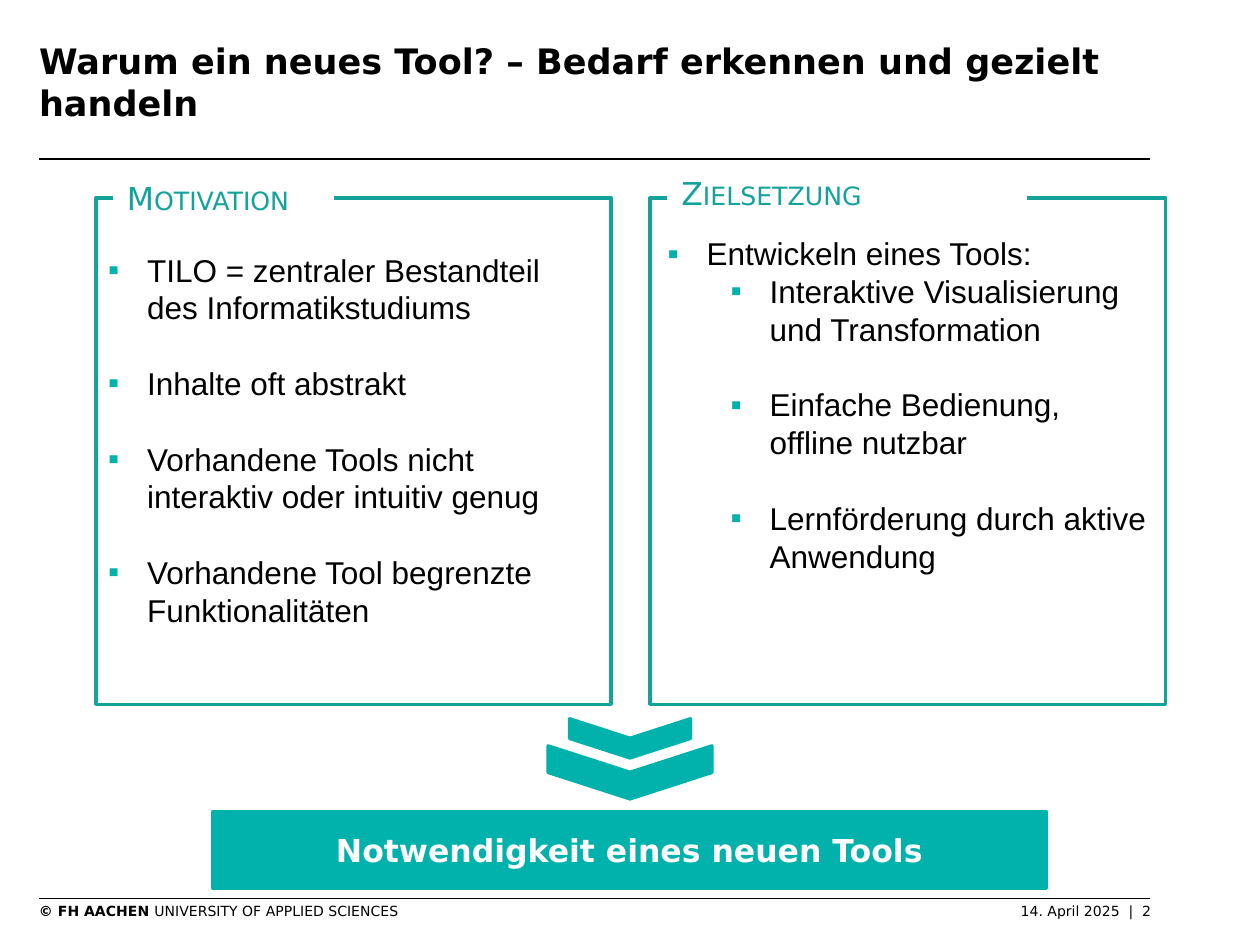
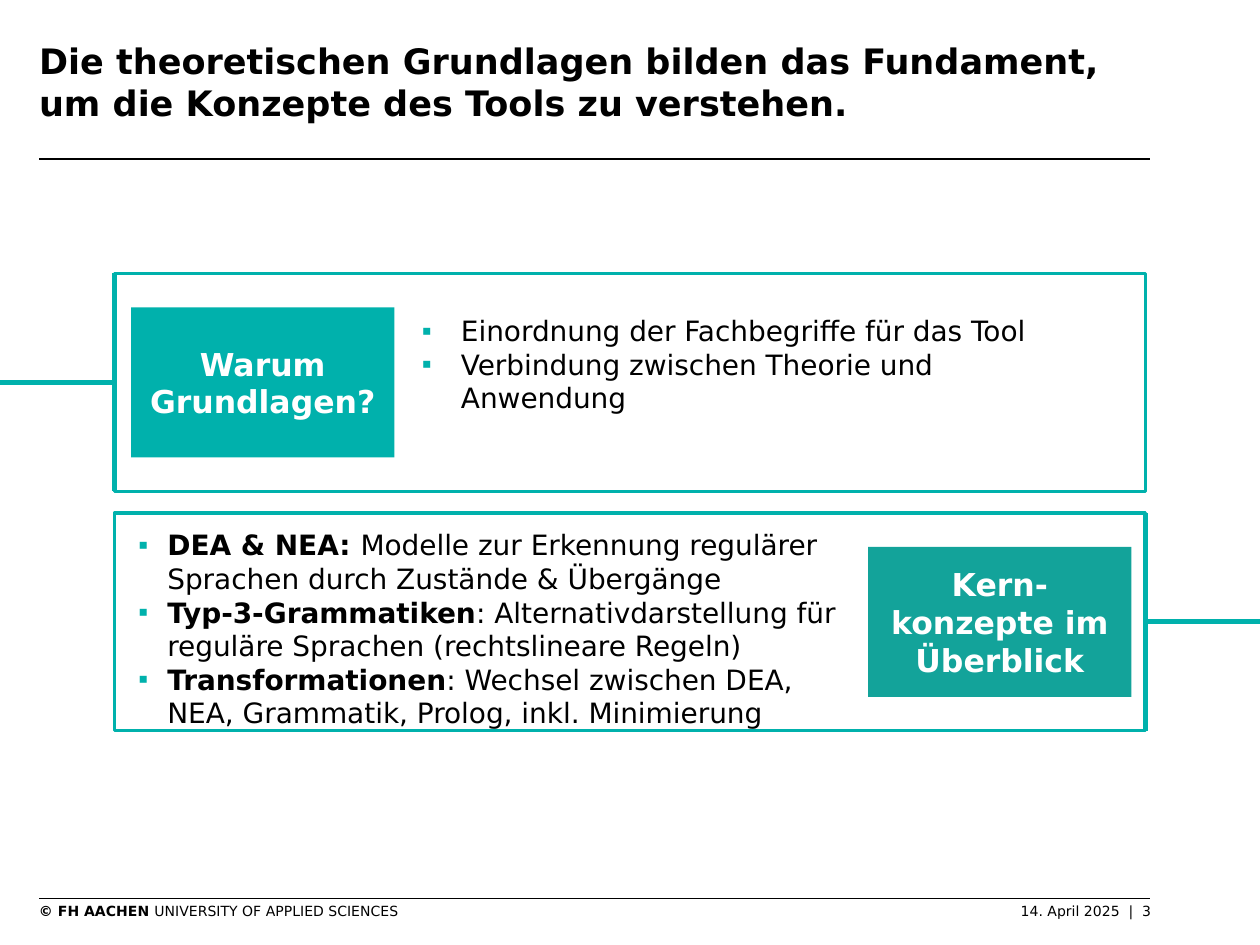
"""Two slides on the motivation for a new learning tool and its theoretical basis."""
from lxml import etree
from pptx import Presentation
from pptx.dml.color import RGBColor
from pptx.enum.shapes import MSO_CONNECTOR, MSO_SHAPE
from pptx.enum.text import MSO_ANCHOR, PP_ALIGN
from pptx.oxml.ns import qn
from pptx.util import Inches, Pt

RECT, CHEVRON = MSO_SHAPE.RECTANGLE, MSO_SHAPE.CHEVRON
STRAIGHT = MSO_CONNECTOR.STRAIGHT
TOP, MIDDLE = MSO_ANCHOR.TOP, MSO_ANCHOR.MIDDLE
LEFT, CENTER = PP_ALIGN.LEFT, PP_ALIGN.CENTER
SIDE_LEFT, SIDE_RIGHT = 1, 3

COLORS = {"ink": "000000", "paper": "FFFFFF", "teal": "00B1AC", "deep": "13A39A"}
SANS, BODY = "DejaVu Sans", "Arial"
WIDTH, HEIGHT = 10, 7.5
MARGIN, RULE_END = 0.31, 9.13
RULES = (1.26, 7.13)
LINE_HEIGHT = 1.2

OWNER = "© FH AACHEN "
FOOTER = "UNIVERSITY OF APPLIED SCIENCES\t14. April 2025  |  {}"

NEED = {
    "title": "Warum ein neues Tool? – Bedarf erkennen und gezielt handeln",
    "conclusion": "Notwendigkeit eines neuen Tools",
    "panels": [
        {"heading": "Motivation", "tab": (1.33, 1.73, 0.48), "list": (0, 1.94, 3.43),
         "items": [
             {"text": "TILO = zentraler Bestandteil des Informatikstudiums"},
             {"text": "Inhalte oft abstrakt", "gap": 1},
             {"text": "Vorhandene Tools nicht interaktiv oder intuitiv genug", "gap": 1},
             {"text": "Vorhandene Tool begrenzte Funktionalitäten", "gap": 1}]},
        {"heading": "Zielsetzung", "tab": (1.4, 2.83, 0.26), "list": (0.04, 1.81, 3.13),
         "items": [
             {"text": "Entwickeln eines Tools:"},
             {"text": "Interaktive Visualisierung und Transformation", "level": 1},
             {"text": "Einfache Bedienung, offline nutzbar", "level": 1, "gap": 1},
             {"text": "Lernförderung durch aktive Anwendung", "level": 1, "gap": 1}]},
    ],
}

BASICS = {
    "title": "Die theoretischen Grundlagen bilden das Fundament, "
             "um die Konzepte des Tools zu verstehen.",
    "bands": [
        {"heading": "Warum Grundlagen?", "color": "teal", "heading_x": 1.04,
         "side": SIDE_LEFT, "list": (3.25, 2.44, 5.61, 0.91), "hang": 0.31,
         "items": [
             {"text": "Einordnung der Fachbegriffe für das Tool"},
             {"text": "Verbindung zwischen Theorie und Anwendung"}]},
        {"heading": "Kern-konzepte im Überblick", "color": "deep", "heading_x": 6.89,
         "side": SIDE_RIGHT, "list": (1, 4.14, 5.89, 1.72), "hang": 0.23,
         "items": [
             {"lead": "DEA & NEA: ",
              "text": "Modelle zur Erkennung regulärer Sprachen durch Zustände & Übergänge"},
             {"lead": "Typ-3-Grammatiken",
              "text": ": Alternativdarstellung für reguläre Sprachen (rechtslineare Regeln)"},
             {"lead": "Transformationen",
              "text": ": Wechsel zwischen DEA, NEA, Grammatik, Prolog, inkl. Minimierung"}]},
    ],
}


def rgb(name):
    return RGBColor.from_string(COLORS[name])


def style(paragraph, size, color="ink", font=SANS, bold=None, align=LEFT):
    paragraph.alignment = align
    paragraph.line_spacing = Pt(LINE_HEIGHT * size)
    face = paragraph.font
    face.size, face.name, face.bold = Pt(size), font, bold
    face.color.rgb = rgb(color)


def add_runs(paragraph, lead, text):
    for words, bold in ((lead, True), (text, False)):
        if words:
            run = paragraph.add_run()
            run.text = words
            if lead:
                run.font.bold = bold


def textbox(slide, box, inset=True):
    frame = slide.shapes.add_textbox(*map(Inches, box)).text_frame
    frame.word_wrap, frame.vertical_anchor = True, TOP
    if not inset:
        frame.margin_left = frame.margin_right = frame.margin_top = frame.margin_bottom = 0
    return frame


def block(slide, box, fill=None, line=None, kind=RECT):
    shape = slide.shapes.add_shape(kind, *map(Inches, box))
    shape.shadow.inherit = False
    if fill:
        shape.fill.solid()
        shape.fill.fore_color.rgb = rgb(fill)
    else:
        shape.fill.background()
    if line:
        shape.line.color.rgb = rgb(line)
        shape.line.width = Pt(2)
    else:
        shape.line.fill.background()
    return shape


def label(shape, text, color="paper", bold=True, align=CENTER):
    frame = shape.text_frame
    frame.word_wrap, frame.vertical_anchor = True, MIDDLE
    paragraph = frame.paragraphs[0]
    add_runs(paragraph, None, text)
    style(paragraph, 18, color, bold=bold, align=align)
    return paragraph


def rule(slide, start, end, color="ink", width=1):
    line = slide.shapes.add_connector(STRAIGHT, *map(Inches, (*start, *end)))
    line.line.color.rgb = rgb(color)
    line.line.width = Pt(width)
    etree.SubElement(line._element.spPr, qn("a:effectLst"))
    return line


def bullets(slide, box, items, size, font, hang):
    frame = textbox(slide, box)
    for index, item in enumerate(items):
        paragraph = frame.add_paragraph() if index else frame.paragraphs[0]
        level = item.get("level", 0)
        paragraph.level = level
        if "gap" in item:
            paragraph.space_before = Pt(item["gap"] * LINE_HEIGHT * size)
        props = paragraph._p.get_or_add_pPr()
        props.set("marL", str(Inches(hang + level * 0.5)))
        props.set("indent", str(-Inches(hang)))
        tint = etree.SubElement(props, qn("a:buClr"))
        etree.SubElement(tint, qn("a:srgbClr"), val=COLORS["teal"])
        etree.SubElement(props, qn("a:buFont"), typeface=BODY)
        etree.SubElement(props, qn("a:buChar"), char="▪")
        add_runs(paragraph, item.get("lead"), item["text"])
        style(paragraph, size, font=font)


def new_slide(deck, title, number):
    slide = deck.slides.add_slide(deck.slide_layouts[6])
    for y in RULES:
        rule(slide, (MARGIN, y), (RULE_END, y))
    footer = textbox(slide, (MARGIN, 7.16, 9.06, 0.14), inset=False).paragraphs[0]
    tabs = etree.SubElement(footer._p.get_or_add_pPr(), qn("a:tabLst"))
    etree.SubElement(tabs, qn("a:tab"), pos=str(Inches(8.83)), algn="r")
    add_runs(footer, OWNER, FOOTER.format(number))
    style(footer, 8)
    heading = textbox(slide, (MARGIN, 0.31, RULE_END - MARGIN, 0.79), inset=False).paragraphs[0]
    add_runs(heading, None, title)
    style(heading, 20, bold=True)
    return slide


def need_slide(deck):
    slide = new_slide(deck, NEED["title"], 2)
    for column, panel in enumerate(NEED["panels"]):
        x = 0.76 + column * 4.4
        block(slide, (x, 1.57, 4.09, 4.02), "paper", "deep")
        y, width, height = panel["tab"]
        tab = block(slide, (x + 0.15, y, width, height), "paper", "paper")
        heading = label(tab, panel["heading"], "deep", False, LEFT)
        heading.runs[0]._r.get_or_add_rPr().set("cap", "small")
        shift, y, height = panel["list"]
        bullets(slide, (x + shift, y, 4.01, height), panel["items"], 18, BODY, 0.31)
    for center_y, depth, span in ((6.13, 0.42, 1.3), (5.86, 0.31, 0.96)):
        box = (WIDTH / 2 - depth / 2, center_y - span / 2, depth, span)
        block(slide, box, "teal", "teal", CHEVRON).rotation = 90
    label(block(slide, (1.69, 6.44, 6.61, 0.61), "teal", "teal"), NEED["conclusion"])


def basics_slide(deck):
    slide = new_slide(deck, BASICS["title"], 3)
    x, width, height = 0.91, 8.18, 1.73
    for row, band in enumerate(BASICS["bands"]):
        y = 2.17 + row * 1.9
        frame = block(slide, (x, y, width, height), line="teal")
        edge, border = (x, 0) if band["side"] == SIDE_LEFT else (x + width, WIDTH)
        rule(slide, (edge, y), (edge, y + height), "teal", 3)
        middle = y + height / 2
        rule(slide, (edge, middle), (border, middle), "teal", 3).begin_connect(frame, band["side"])
        heading = block(slide, (band["heading_x"], y + 0.27, 2.09, 1.19), band["color"])
        label(heading, band["heading"])
        bullets(slide, band["list"], band["items"], 16, SANS, band["hang"])


def main():
    deck = Presentation()
    deck.slide_width, deck.slide_height = Inches(WIDTH), Inches(HEIGHT)
    need_slide(deck)
    basics_slide(deck)
    deck.save("out.pptx")


if __name__ == "__main__":
    main()
